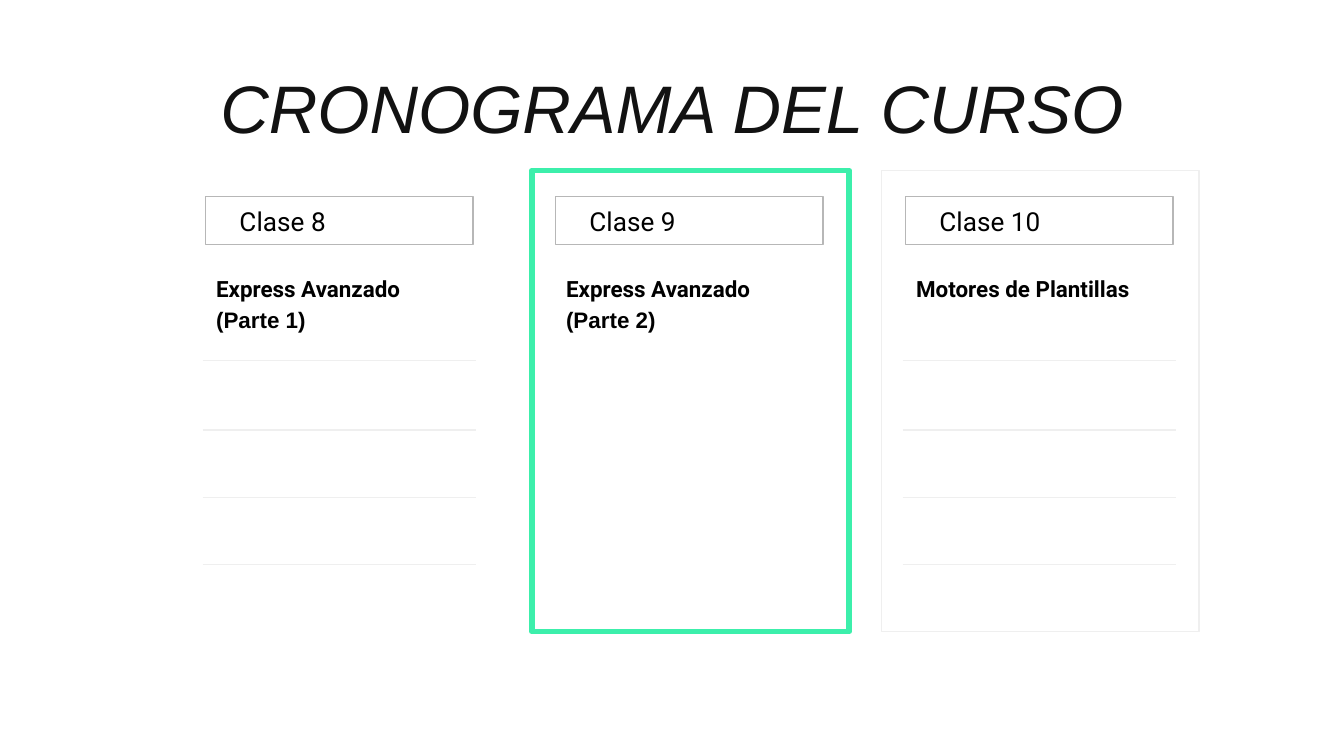
"""Build the course schedule slide with three class columns."""
from lxml import etree
from pptx import Presentation
from pptx.dml.color import RGBColor
from pptx.enum.shapes import MSO_CONNECTOR, MSO_SHAPE
from pptx.enum.text import MSO_ANCHOR, PP_ALIGN
from pptx.oxml.ns import qn
from pptx.util import Pt

RECTANGLE = MSO_SHAPE.RECTANGLE
STRAIGHT = MSO_CONNECTOR.STRAIGHT
TOP, MIDDLE = MSO_ANCHOR.TOP, MSO_ANCHOR.MIDDLE
LEFT, CENTER = PP_ALIGN.LEFT, PP_ALIGN.CENTER

BLACK = RGBColor(0x00, 0x00, 0x00)
TITLE_COLOR = RGBColor(0x12, 0x12, 0x12)
HEADER_GRAY = RGBColor(0xB7, 0xB7, 0xB7)
RULE_GRAY = RGBColor(0xEF, 0xEF, 0xEF)
GREEN = RGBColor(0x3C, 0xEF, 0xAB)

FIRST_LEFT = 108.7
COLUMN_PITCH = 187.5
COLUMN_WIDTH = 146.2
RULE_TOPS = (193, 230.4, 266.4, 302.4)

CLASSES = (
    ("Clase 8", (("Express Avanzado", "Roboto"), ("(Parte 1)", "Arial")), None, True),
    ("Clase 9", (("Express Avanzado", "Roboto"), ("(Parte 2)", "Arial")), (GREEN, 3), False),
    ("Clase 10", (("Motores de Plantillas", "Roboto"),), (RULE_GRAY, 0.75), True),
)


def add_outline(slide, left, top, width, height, color, weight):
    """Add an unfilled rectangle."""
    shape = slide.shapes.add_shape(RECTANGLE, Pt(left), Pt(top), Pt(width), Pt(height))
    shape.shadow.inherit = False
    shape.fill.background()
    shape.line.color.rgb = color
    shape.line.width = Pt(weight)


def add_rule(slide, left, top, width):
    """Add a thin horizontal line."""
    connector = slide.shapes.add_connector(
        STRAIGHT, Pt(left), Pt(top), Pt(left + width), Pt(top))
    connector.line.color.rgb = RULE_GRAY
    connector.line.width = Pt(0.75)
    etree.SubElement(connector._element.spPr, qn("a:effectLst"))


def add_text(slide, left, top, width, height, lines, size, color=BLACK, bold=False,
             italic=False, align=LEFT, anchor=TOP, spacing=1.0):
    """Add a text box with one paragraph for each text and font pair."""
    box = slide.shapes.add_textbox(Pt(left), Pt(top), Pt(width), Pt(height))
    frame = box.text_frame
    frame.word_wrap = True
    frame.vertical_anchor = anchor
    frame.margin_left = frame.margin_right = Pt(7.2)
    frame.margin_top = frame.margin_bottom = Pt(7.2)
    for index, (text, font_name) in enumerate(lines):
        paragraph = frame.add_paragraph() if index else frame.paragraphs[0]
        paragraph.alignment = align
        paragraph.line_spacing = spacing
        run = paragraph.add_run()
        run.text = text
        run.font.name = font_name
        run.font.size = Pt(size)
        run.font.bold = bold
        run.font.italic = italic
        run.font.color.rgb = color


def add_class_column(slide, left, name, topics, border, ruled):
    """Add one class with its header, topics, border and rules."""
    if border:
        add_outline(slide, left - 11.3, 91.4, 170, 247, *border)
    add_outline(slide, left + 1.4, 105.1, 143.3, 26, HEADER_GRAY, 0.75)
    add_text(slide, left + 12.5, 103, 97.2, 28.8, [(name, "Roboto")], 14)
    add_text(slide, left, 138.2, COLUMN_WIDTH, 33.1, topics, 12, bold=True, spacing=1.15)
    if ruled:
        for top in RULE_TOPS:
            add_rule(slide, left, top, COLUMN_WIDTH)


def main():
    """Create and save the presentation."""
    presentation = Presentation()
    presentation.slide_width = Pt(720)
    presentation.slide_height = Pt(405)
    slide = presentation.slides.add_slide(presentation.slide_layouts[6])
    for index, course_class in enumerate(CLASSES):
        add_class_column(slide, FIRST_LEFT + index * COLUMN_PITCH, *course_class)
    add_text(slide, 110.2, 18, 499.7, 77.8, [("CRONOGRAMA DEL CURSO", "Arial")], 36,
             color=TITLE_COLOR, italic=True, align=CENTER, anchor=MIDDLE)
    presentation.save("out.pptx")


if __name__ == "__main__":
    main()
